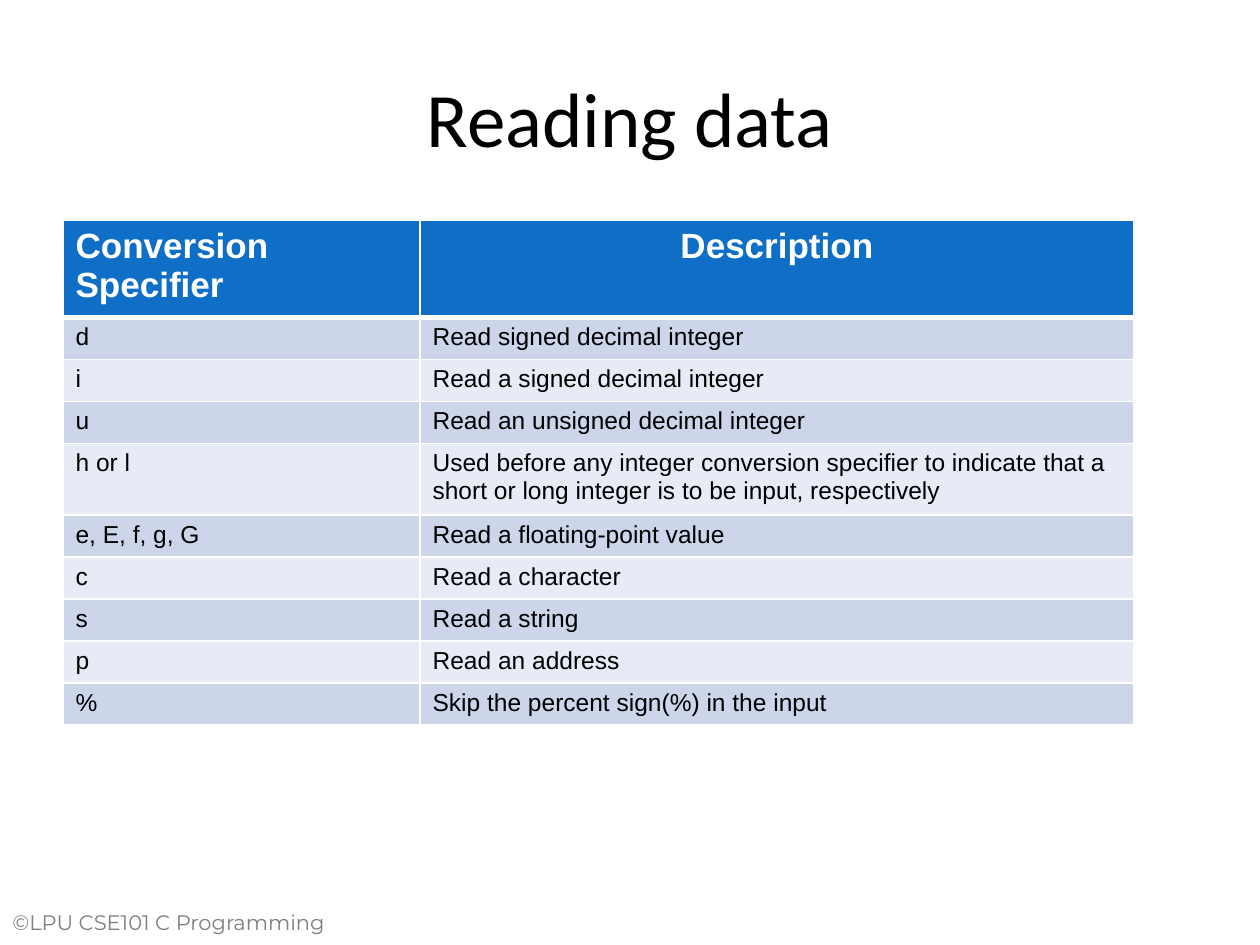
from dataclasses import dataclass

from lxml.etree import SubElement
from pptx import Presentation
from pptx.dml.color import RGBColor as RGB
from pptx.enum.text import MSO_ANCHOR as Anchor, PP_ALIGN as Align
from pptx.oxml.ns import qn
from pptx.util import Inches, Pt


@dataclass(frozen=True)
class Theme:
    ink: str = "000000"
    muted: str = "7F7F7F"
    white: str = "FFFFFF"
    header: str = "0F6FC6"
    bands: tuple = ("CCD5EA", "E7EBF5")
    title_font: str = "Calibri"
    table_font: str = "Arial"
    footer_font: str = "Montserrat"
    title_size: int = 44
    header_size: int = 20
    body_size: int = 14
    footer_size: int = 12
    rule: int = 1
    header_rule: int = 3


THEME = Theme()
WIDTH, HEIGHT = Inches(10), Inches(7.5)
COLUMN_SHARES = (1 / 3, 2 / 3)
ROW_HEIGHT = 0.04
HEADINGS = ("Conversion Specifier", "Description")
SPECIFIERS = (
    ("d", "Read signed decimal integer"),
    ("i", "Read a signed decimal integer"),
    ("u", "Read an unsigned decimal integer"),
    ("h or l", "Used before any integer conversion specifier to indicate "
               "that a short or long integer is to be input, respectively"),
    ("e, E, f, g, G", "Read a floating-point value"),
    ("c", "Read a character"),
    ("s", "Read a string"),
    ("p", "Read an address"),
    ("%", "Skip the percent sign(%) in the input"),
)


def place(x, y, w, h):
    return round(x * WIDTH), round(y * HEIGHT), round(w * WIDTH), round(h * HEIGHT)


def write(tf, text, *, font, size, color, bold=False, align=Align.LEFT):
    p = tf.paragraphs[0]
    p.alignment = align
    r = p.add_run()
    r.text = text
    r.font.name = font
    r.font.size = Pt(size)
    r.font.bold = bold
    r.font.color.rgb = RGB.from_string(color)


def add_text(s, area, text, anchor=Anchor.TOP, **style):
    tf = s.shapes.add_textbox(*place(*area)).text_frame
    tf.word_wrap = True
    tf.vertical_anchor = anchor
    write(tf, text, **style)


def add_borders(cell, bottom):
    tc_pr = cell._tc.get_or_add_tcPr()
    widths = {"lnL": THEME.rule, "lnR": THEME.rule, "lnT": THEME.rule, "lnB": bottom}
    for side, width in widths.items():
        line = SubElement(tc_pr, qn(f"a:{side}"), w=str(Pt(width)))
        fill = SubElement(line, qn("a:solidFill"))
        SubElement(fill, qn("a:srgbClr"), val=THEME.white)


def fill_cell(cell, text, fill, bottom=THEME.rule, **style):
    add_borders(cell, bottom)
    cell.fill.solid()
    cell.fill.fore_color.rgb = RGB.from_string(fill)
    write(cell.text_frame, text, font=THEME.table_font, **style)


def add_specifier_table(s, x, y, w):
    rows = len(SPECIFIERS) + 1
    area = place(x, y, w, ROW_HEIGHT * rows)
    table = s.shapes.add_table(rows, len(HEADINGS), *area).table
    table.first_row = table.horz_banding = False
    for column, share in zip(table.columns, COLUMN_SHARES):
        column.width = round(share * w * WIDTH)
    for col, (text, align) in enumerate(zip(HEADINGS, (Align.LEFT, Align.CENTER))):
        fill_cell(table.cell(0, col), text, THEME.header, THEME.header_rule,
                  size=THEME.header_size, color=THEME.white, bold=True, align=align)
    for row, texts in enumerate(SPECIFIERS):
        for col, text in enumerate(texts):
            fill_cell(table.cell(row + 1, col), text, THEME.bands[row % 2],
                      size=THEME.body_size, color=THEME.ink)


def main():
    prs = Presentation()
    prs.slide_width, prs.slide_height = WIDTH, HEIGHT
    s = prs.slides.add_slide(prs.slide_layouts[6])
    add_text(s, (0, 0.956, 0.3, 0.056), "©LPU CSE101 C Programming",
             font=THEME.footer_font, size=THEME.footer_size, color=THEME.muted)
    add_text(s, (0.05, 0.04, 0.9, 1 / 6), "Reading data", Anchor.MIDDLE,
             font=THEME.title_font, size=THEME.title_size, color=THEME.ink,
             align=Align.CENTER)
    add_specifier_table(s, 0.05, 7 / 30, 0.85)
    prs.save("out.pptx")


if __name__ == "__main__":
    main()
